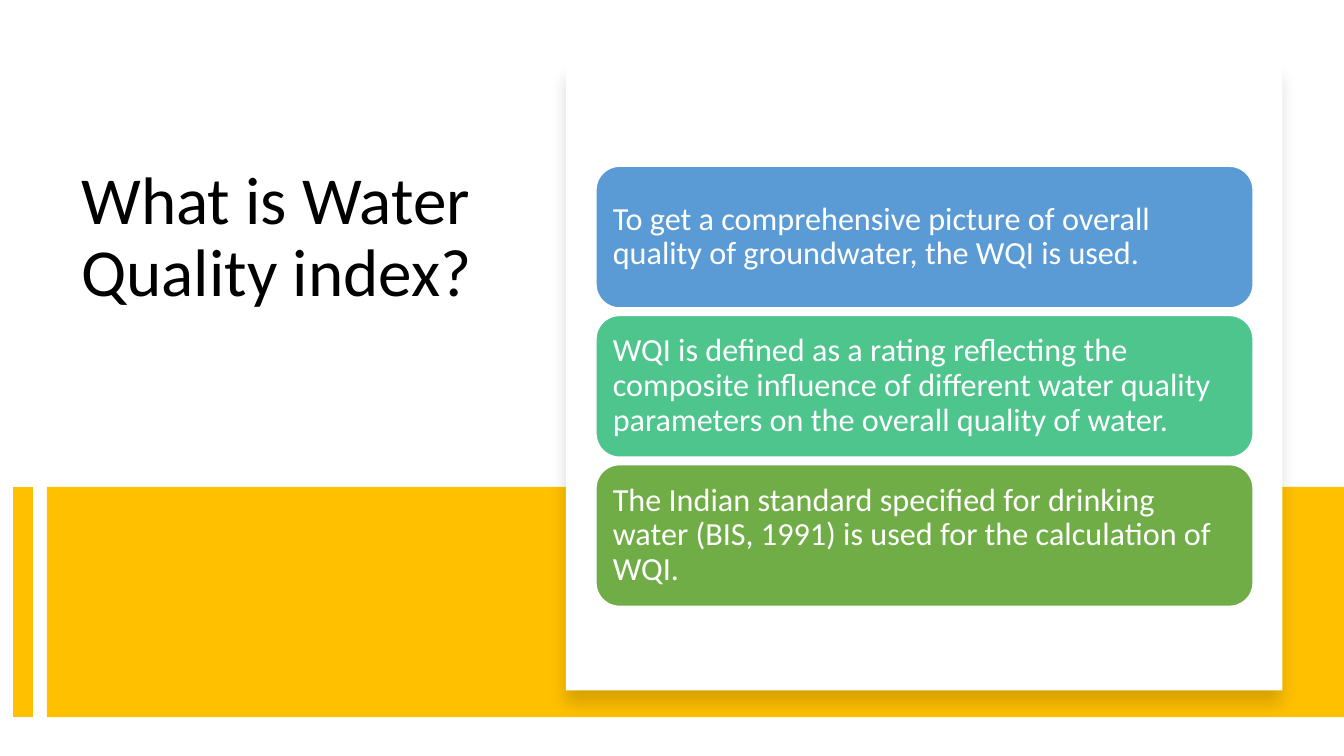
from lxml import etree
from pptx import Presentation
from pptx.dml.color import RGBColor
from pptx.enum.shapes import MSO_CONNECTOR, MSO_SHAPE
from pptx.enum.text import MSO_ANCHOR, MSO_AUTO_SIZE, PP_ALIGN
from pptx.oxml import parse_xml
from pptx.oxml.ns import nsdecls, qn
from pptx.util import Cm, Pt

COLORS = {
    "black": "000000",
    "white": "FFFFFF",
    "gold": "FFC000",
    "blue": "5B9BD5",
    "teal": "4DC58D",
    "green": "70AD47",
}


def write_text(shape, text, size, color, anchor):
    frame = shape.text_frame
    frame.word_wrap = True
    frame.auto_size = MSO_AUTO_SIZE.NONE
    frame.vertical_anchor = anchor
    frame.margin_left = frame.margin_right = Cm(0.25)
    frame.margin_top = frame.margin_bottom = Cm(0.25)
    paragraph = frame.paragraphs[0]
    paragraph.text = text
    paragraph.alignment = PP_ALIGN.LEFT
    paragraph.line_spacing = 0.9
    paragraph.font.name = "Calibri"
    paragraph.font.size = Pt(size)
    paragraph.font.color.rgb = RGBColor.from_string(COLORS[color])


def add_block(kind, left, top, width, height, color, outline=None):
    shape = slide.shapes.add_shape(kind, Cm(left), Cm(top), Cm(width), Cm(height))
    shape.shadow.inherit = False
    shape.fill.solid()
    shape.fill.fore_color.rgb = RGBColor.from_string(COLORS[color])
    if outline:
        shape.line.color.rgb = RGBColor.from_string(COLORS[outline])
        shape.line.width = Pt(1)
    else:
        shape.line.fill.background()
    return shape


presentation = Presentation()
presentation.slide_width = Cm(33.87)
presentation.slide_height = Cm(19.05)
slide = presentation.slides.add_slide(presentation.slide_layouts[5])

title = slide.shapes.title
title.left, title.top, title.width, title.height = Cm(1.8), Cm(4.06), Cm(10.54), Cm(7.53)
write_text(title, "What is Water Quality index?", size=48, color="black", anchor=MSO_ANCHOR.TOP)
title.text_frame.margin_top = Cm(0.13)

band_top, band_height = 12.27, 5.8
add_block(MSO_SHAPE.RECTANGLE, 1.18, band_top, 32.69, band_height, "gold")

stripe = slide.shapes.add_connector(
    MSO_CONNECTOR.STRAIGHT, Cm(0.58), Cm(band_top), Cm(0.58), Cm(band_top + band_height)
)
stripe.line.color.rgb = RGBColor.from_string(COLORS["gold"])
stripe.line.width = Pt(14)
etree.SubElement(stripe._element.spPr, qn("a:effectLst"))

panel = add_block(MSO_SHAPE.RECTANGLE, 14.26, 1.63, 18.06, 15.77, "white")
panel_effects = panel._element.spPr.find(qn("a:effectLst"))
panel_effects.append(parse_xml(
    f'<a:outerShdw {nsdecls("a")} blurRad="{Pt(11)}" dist="{Pt(10)}" dir="5400000" '
    f'algn="t" rotWithShape="0"><a:srgbClr val="{COLORS["black"]}">'
    '<a:alpha val="15000"/></a:srgbClr></a:outerShdw>'
))

cards = [
    ("blue", "To get a comprehensive picture of overall quality of groundwater, the WQI is used."),
    ("teal", "WQI is defined as a rating reflecting the composite influence of different water "
             "quality parameters on the overall quality of water."),
    ("green", "The Indian standard specified for drinking water (BIS, 1991) is used for the "
              "calculation of WQI."),
]
card_top, card_pitch = 4.19, 3.76
for index, (color, text) in enumerate(cards):
    card = add_block(
        MSO_SHAPE.ROUNDED_RECTANGLE, 15.02, card_top + index * card_pitch, 16.56, 3.57, color,
        outline="white",
    )
    write_text(card, text, size=23, color="white", anchor=MSO_ANCHOR.MIDDLE)

presentation.save("out.pptx")
